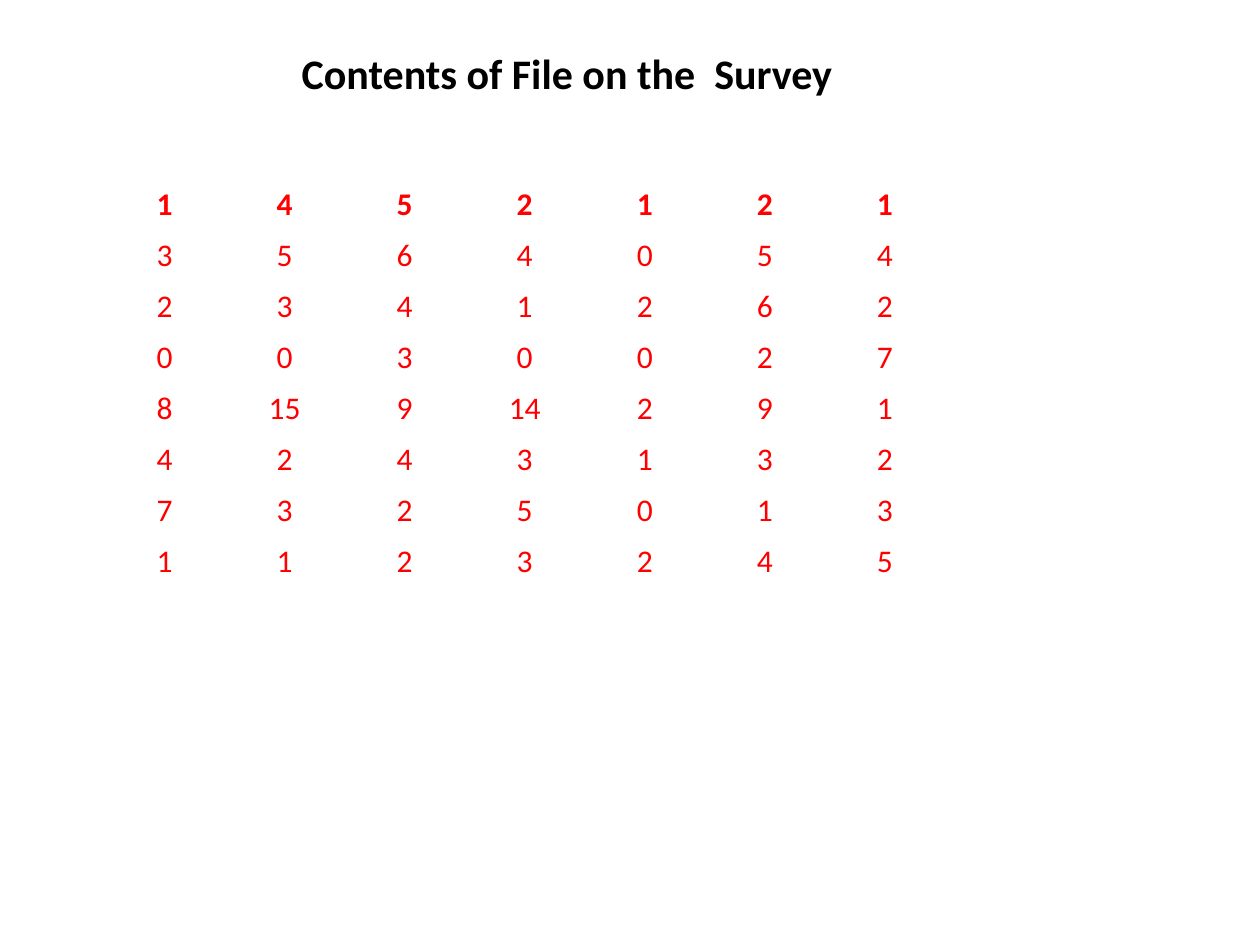
"""Build a slide with a title and a table of survey file contents."""
from typing import NamedTuple

from lxml.etree import SubElement
from pptx import Presentation
from pptx.dml.color import RGBColor
from pptx.enum.text import MSO_ANCHOR, MSO_AUTO_SIZE, PP_ALIGN
from pptx.oxml.ns import qn
from pptx.slide import Slide
from pptx.table import _Cell
from pptx.text.text import _Paragraph
from pptx.util import Inches, Pt

BLACK = RGBColor(0x00, 0x00, 0x00)
RED = RGBColor(0xFF, 0x00, 0x00)
WHITE = RGBColor(0xFF, 0xFF, 0xFF)
THIN_LINE = Pt(0.45)
HEADER_LINE = Pt(1.47)


class TextStyle(NamedTuple):
    size: int
    color: RGBColor
    bold: bool


TITLE_STYLE = TextStyle(24, BLACK, True)
HEADER_STYLE = TextStyle(18, RED, True)
BODY_STYLE = TextStyle(18, RED, False)

SURVEY_ROWS = (
    (1, 4, 5, 2, 1, 2, 1),
    (3, 5, 6, 4, 0, 5, 4),
    (2, 3, 4, 1, 2, 6, 2),
    (0, 0, 3, 0, 0, 2, 7),
    (8, 15, 9, 14, 2, 9, 1),
    (4, 2, 4, 3, 1, 3, 2),
    (7, 3, 2, 5, 0, 1, 3),
    (1, 1, 2, 3, 2, 4, 5),
)


def format_paragraph(paragraph: _Paragraph, style: TextStyle) -> None:
    paragraph.alignment = PP_ALIGN.CENTER
    paragraph.font.name = "Calibri"
    paragraph.font.size = Pt(style.size)
    paragraph.font.bold = style.bold
    paragraph.font.color.rgb = style.color


def add_border(cell: _Cell, side: str, width: int) -> None:
    properties = cell._tc.get_or_add_tcPr()
    line = SubElement(properties, qn(f"a:ln{side}"), w=str(int(width)))
    fill = SubElement(line, qn("a:solidFill"))
    SubElement(fill, qn("a:srgbClr"), val=str(WHITE))


def fill_cell(cell: _Cell, value: int, row_index: int) -> None:
    cell.text = str(value)
    format_paragraph(cell.text_frame.paragraphs[0], BODY_STYLE if row_index else HEADER_STYLE)
    widths = {
        "L": THIN_LINE,
        "R": THIN_LINE,
        "T": HEADER_LINE if row_index == 1 else THIN_LINE,
        "B": HEADER_LINE if row_index == 0 else THIN_LINE,
    }
    for side, width in widths.items():
        add_border(cell, side, width)
    cell.fill.background()


def add_survey_table(slide: Slide) -> None:
    table = slide.shapes.add_table(
        len(SURVEY_ROWS), len(SURVEY_ROWS[0]),
        Inches(0.83), Inches(1.42), Inches(6.67), Inches(3.24),
    ).table
    table.horz_banding = False
    for row_index, values in enumerate(SURVEY_ROWS):
        for column_index, value in enumerate(values):
            fill_cell(table.cell(row_index, column_index), value, row_index)


def set_title(slide: Slide, text: str) -> None:
    title = slide.shapes.title
    title.left, title.top = Inches(0.33), Inches(0.33)
    title.width, title.height = Inches(8.42), Inches(0.5)
    frame = title.text_frame
    frame.text = text
    frame.word_wrap = True
    frame.auto_size = MSO_AUTO_SIZE.SHAPE_TO_FIT_TEXT
    frame.vertical_anchor = MSO_ANCHOR.TOP
    frame.margin_right = Inches(0.18)
    format_paragraph(frame.paragraphs[0], TITLE_STYLE)


def main() -> None:
    presentation = Presentation()
    presentation.slide_width = Inches(10)
    presentation.slide_height = Inches(7.5)
    slide = presentation.slides.add_slide(presentation.slide_layouts.get_by_name("Title Only"))
    add_survey_table(slide)
    set_title(slide, "Contents of File on the  Survey")
    presentation.save("out.pptx")


if __name__ == "__main__":
    main()
